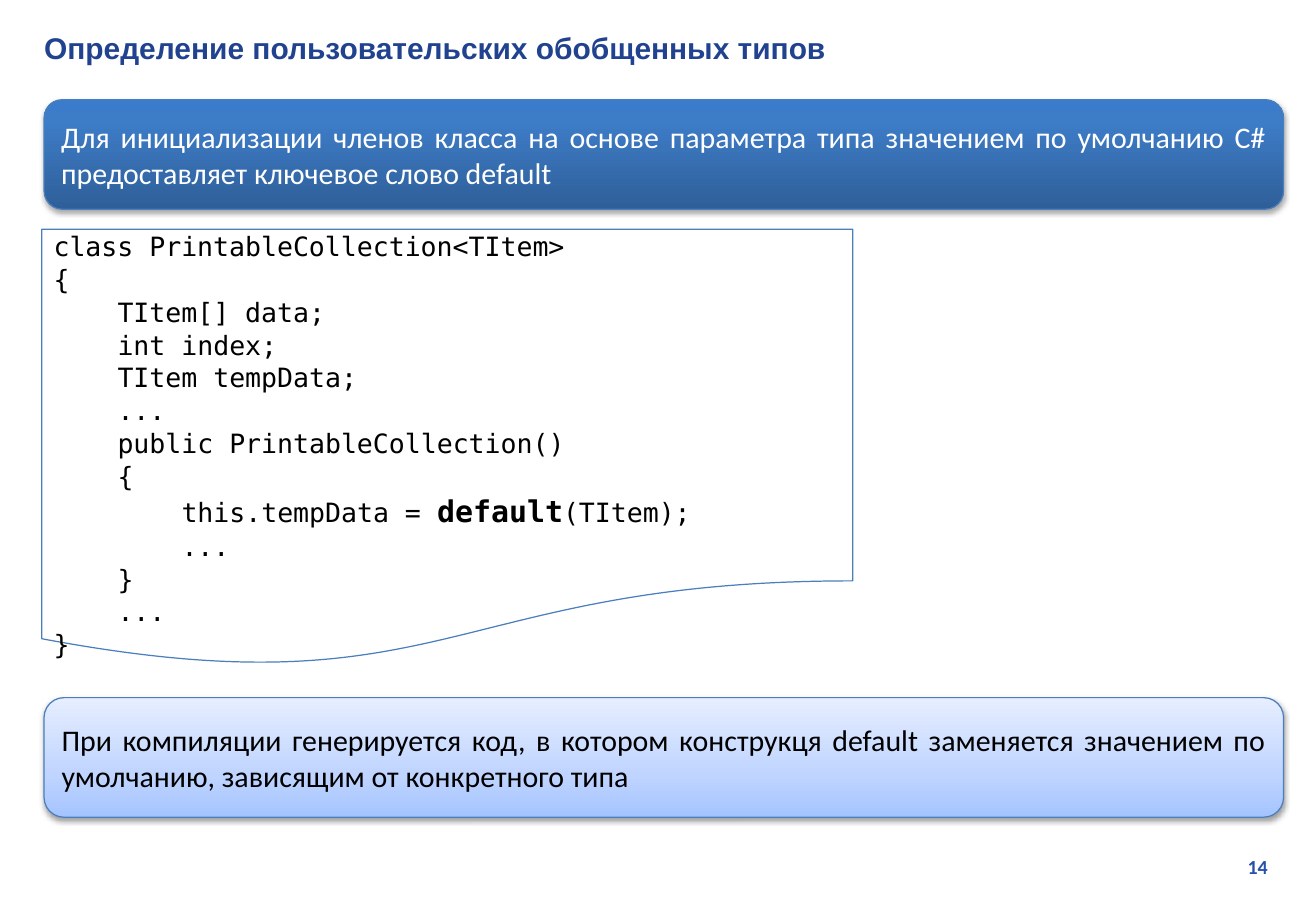
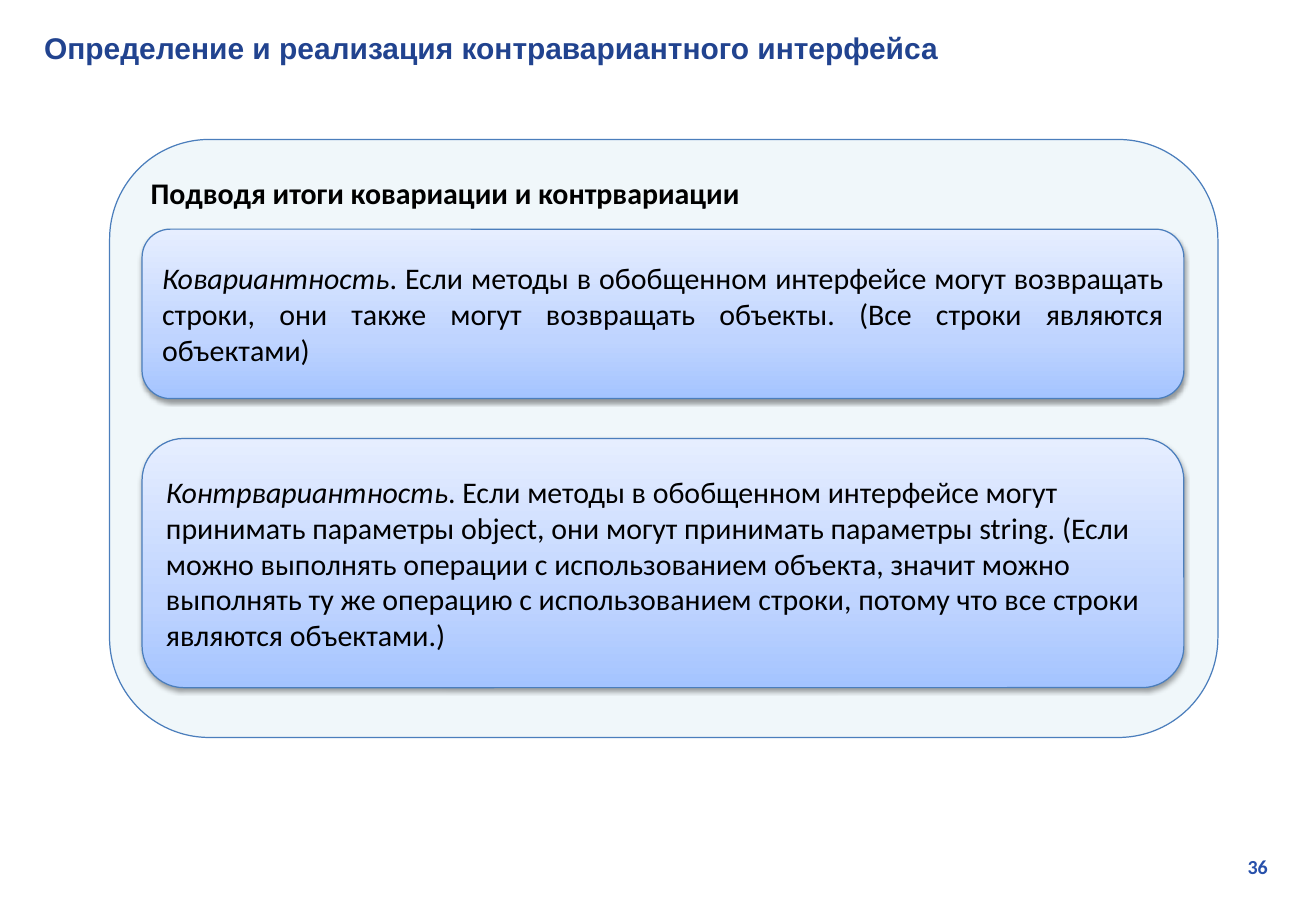
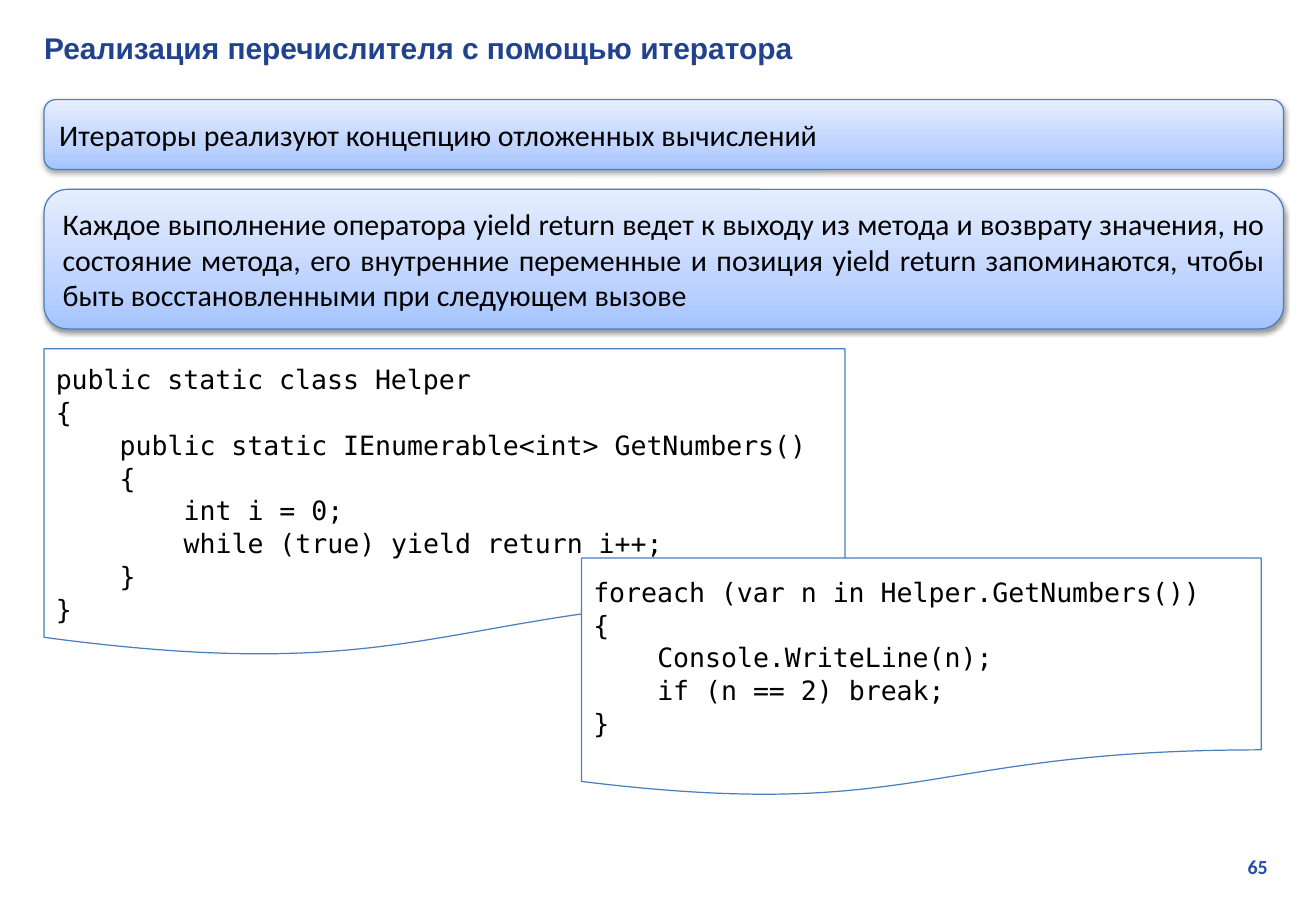
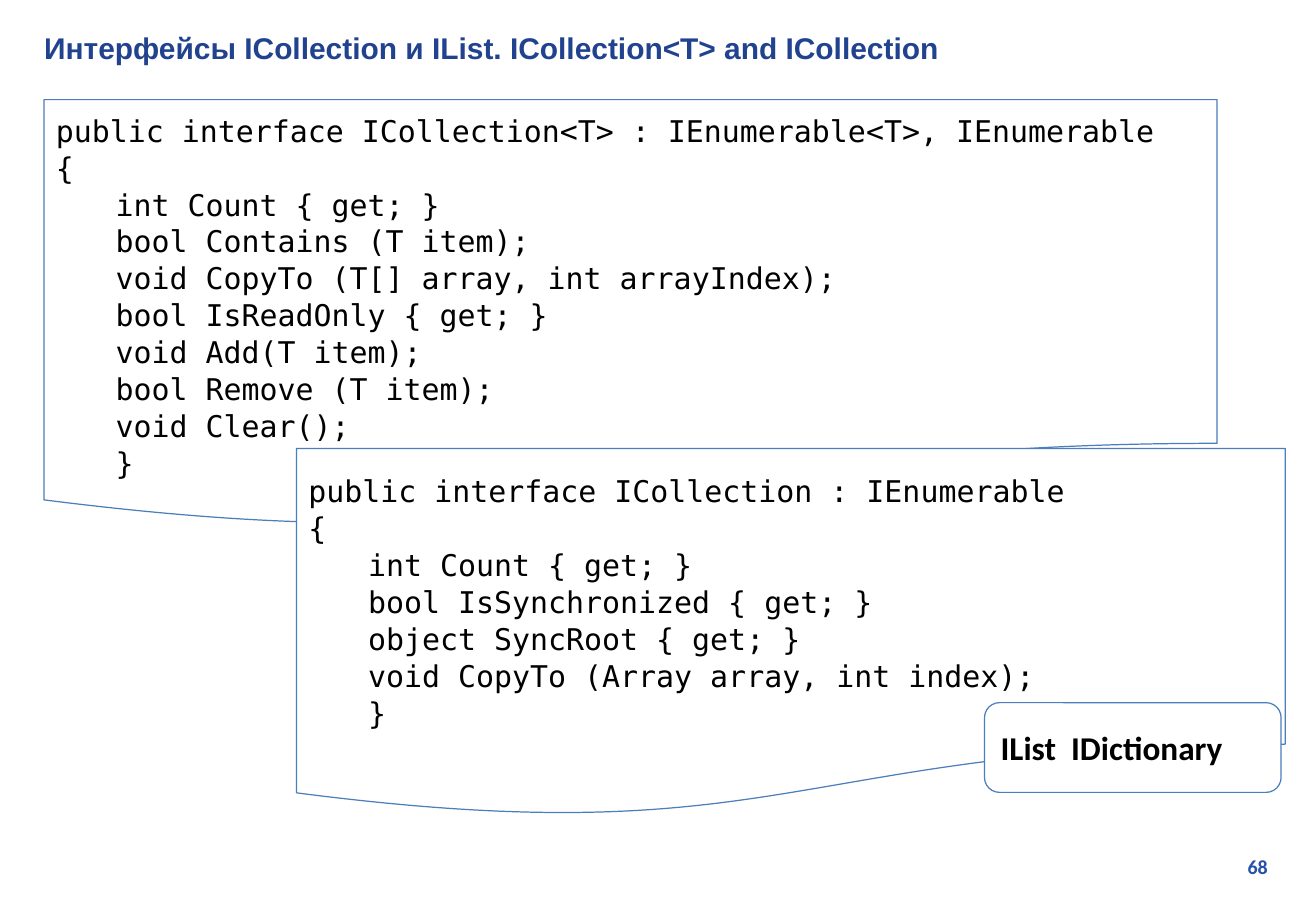
from copy import deepcopy
from lxml import etree
from pptx import Presentation
from pptx.dml.color import RGBColor
from pptx.enum.shapes import MSO_SHAPE
from pptx.enum.text import MSO_ANCHOR, PP_ALIGN
from pptx.oxml.ns import qn
from pptx.util import Pt

ROUND = MSO_SHAPE.ROUNDED_RECTANGLE
SHEET = MSO_SHAPE.FLOWCHART_DOCUMENT
BADGE = MSO_SHAPE.FLOWCHART_ALTERNATE_PROCESS
TOP, MIDDLE = MSO_ANCHOR.TOP, MSO_ANCHOR.MIDDLE
LEFT, RIGHT, FULL = PP_ALIGN.LEFT, PP_ALIGN.RIGHT, PP_ALIGN.JUSTIFY

HUE = {
    "title": "21438F", "page": "2750AB", "edge": "4B7EBC",
    "black": "000000", "white": "FFFFFF", "panel": "F0F7FA",
    "deep": "2F5F99", "blue": "3D7CC7", "bright": "3A7CCB",
    "sky": "A4C4FF", "pale": "BFD4FF", "mist": "E6EEFF",
}
DARK = [(0, "deep"), (0.8, "blue"), (1, "bright")]
LIGHT = [(0, "sky"), (0.35, "pale"), (1, "mist")]

BODY = {"name": "Calibri", "size": Pt(18), "bold": False}
HEAD = {"name": "Arial", "size": Pt(18), "bold": True}
PAGE = {"name": "Calibri", "size": Pt(12), "bold": True}
MONO = {"name": "DejaVu Sans Mono", "size": Pt(16), "bold": False}
BIG = {**MONO, "size": Pt(18)}
STRONG = {"size": Pt(18), "bold": True}
SLANT = {"italic": True}

KIND = {
    "lead": {"form": ROUND, "fill": DARK, "shade": (35, 1.8),
             "ink": "white", "align": FULL},
    "card": {"form": ROUND, "fill": LIGHT, "shade": (38, 1.6), "align": FULL},
    "note": {"form": ROUND, "fill": LIGHT, "shade": (38, 1.6)},
    "panel": {"form": ROUND, "fill": "panel", "anchor": TOP,
              "font": {**BODY, "bold": True}},
    "code": {"form": SHEET, "fill": "white", "anchor": TOP, "font": MONO,
             "mark": STRONG, "step": 38.5, "space": 1.03},
    "list": {"form": SHEET, "fill": "white", "anchor": TOP, "font": BIG,
             "step": 36, "space": 1.03},
    "badge": {"form": BADGE, "fill": "white",
              "font": {**BODY, "size": Pt(20), "bold": True}},
}
EDGE, WIDE = 26.5, 746

DECK = [
    (14, "Определение пользовательских обобщенных типов", [
        ("lead", (EDGE, 60, WIDE, 66), 3.6, "Для инициализации членов класса на основе параметра типа значением по умолчанию C# предоставляет ключевое слово default"),
        ("code", (25.2, 138, 488, 264), 0, """class PrintableCollection<TItem>
{
    TItem[] data;
    int index;
    TItem tempData;
    ...
    public PrintableCollection()
    {
        this.tempData = |default|(TItem);
        ...
    }
    ...
}"""),
        ("card", (EDGE, 420, WIDE, 72), 3.6, "При компиляции генерируется код, в котором конструкця default заменяется значением по умолчанию, зависящим от конкретного типа"),
    ]),
    (36, "Определение и реализация контравариантного интерфейса", [
        ("panel", (66, 84, 667, 360), 3.6, "Подводя итоги ковариации и контрвариации"),
        ("card", (85.5, 138, 627, 102), 3.6, "|Ковариантность|. Если методы в обобщенном интерфейсе могут возвращать строки, они также могут возвращать объекты. (Все строки являются объектами)"),
        ("note", (85.5, 264, 627, 150), 3.6, "|Контрвариантность|. Если методы в обобщенном интерфейсе могут принимать параметры object, они могут принимать параметры string. (Если можно выполнять операции с использованием объекта, значит можно выполнять ту же операцию с использованием строки, потому что все строки являются объектами.)"),
    ]),
    (65, "Реализация перечислителя с помощью итератора", [
        ("card", (EDGE, 60, WIDE, 42), 3.6, "Итераторы реализуют концепцию отложенных вычислений"),
        ("card", (EDGE, 114, WIDE, 84), 3.6, "Каждое выполнение оператора yield return ведет к выходу из метода и возврату значения, но состояние метода, его внутренние переменные и позиция yield return запоминаются, чтобы быть восстановленными при следующем вызове"),
        ("code", (EDGE, 210, 482, 186), 8, """public static class Helper
{
    public static IEnumerable<int> GetNumbers()
    {
        int i = 0;
        while (true) yield return i++;
    }
}"""),
        ("code", (350, 336, 409, 144), 10, """foreach (var n in Helper.GetNumbers())
{
    Console.WriteLine(n);
    if (n == 2) break;
}"""),
    ]),
    (68, "Интерфейсы ICollection и IList. ICollection<T> and ICollection", [
        ("list", (EDGE, 60, 706, 258), 7, """public interface ICollection<T> : IEnumerable<T>, IEnumerable
{
    int Count { get; }
    bool Contains (T item);
    void CopyTo (T[] array, int arrayIndex);
    bool IsReadOnly { get; }
    void Add(T item);
    bool Remove (T item);
    void Clear();
    }"""),
        ("list", (178.5, 270, 595, 222), 14, """public interface ICollection : IEnumerable
{
    int Count { get; }
    bool IsSynchronized { get; }
    object SyncRoot { get; }
    void CopyTo (Array array, int index);
    }"""),
        ("badge", (592.5, 423, 178.5, 54), 3.6, "IList  IDictionary"),
    ]),
]


def write(frame, text, font, ink, align=LEFT, mark=SLANT, step=0, space=1):
    frame.word_wrap = True
    for num, row in enumerate(text.splitlines()):
        para = frame.paragraphs[0] if num == 0 else frame.add_paragraph()
        para.alignment = align
        para.line_spacing = space
        line = row.lstrip()
        depth = (len(row) - len(line)) // 4
        if depth:
            props = para._p.get_or_add_pPr()
            props.set("marL", str(Pt(depth * step)))
            props.set("indent", "0")
        for pos, part in enumerate(line.split("|")):
            if part:
                run = para.add_run()
                run.text = part
                look = {**font, **mark} if pos % 2 else font
                for key, val in look.items():
                    setattr(run.font, key, val)
                run.font.color.rgb = RGBColor.from_string(HUE[ink])


def draw(slide, kind, box, inset, text):
    look = KIND[kind]
    shape = slide.shapes.add_shape(look["form"], *map(Pt, box))
    shape.shadow.inherit = False
    shape.line.color.rgb = RGBColor.from_string(HUE["edge"])
    shape.line.width = Pt(0.75)
    props = shape._element.spPr
    if isinstance(look["fill"], str):
        shape.fill.solid()
        shape.fill.fore_color.rgb = RGBColor.from_string(HUE[look["fill"]])
    else:
        shape.fill.gradient()
        shape.fill.gradient_angle = 90
        stops = props.find(".//" + qn("a:gsLst"))
        stops.append(deepcopy(stops[-1]))
        for stop, (pos, hue) in zip(shape.fill.gradient_stops, look["fill"]):
            stop.position = pos
            stop.color.rgb = RGBColor.from_string(HUE[hue])
    if "shade" in look:
        alpha, dist = look["shade"]
        cast = etree.SubElement(
            props.find(qn("a:effectLst")), qn("a:outerShdw"),
            blurRad=str(Pt(3.1)), dist=str(Pt(dist)), dir="5400000", rotWithShape="0")
        tint = etree.SubElement(cast, qn("a:srgbClr"), val=HUE["black"])
        etree.SubElement(tint, qn("a:alpha"), val=str(alpha * 1000))
    frame = shape.text_frame
    frame.vertical_anchor = look.get("anchor", MIDDLE)
    frame.margin_top = Pt(inset)
    rest = {key: look[key] for key in ("align", "mark", "step", "space") if key in look}
    write(frame, text, look.get("font", BODY), look.get("ink", "black"), **rest)


deck = Presentation()
deck.slide_width, deck.slide_height = Pt(792), Pt(540)
for page, title, items in DECK:
    slide = deck.slides.add_slide(deck.slide_layouts[6])
    for box, text, font, ink, align in (
        ((602, 511, 168, 21.6), str(page), PAGE, "page", RIGHT),
        ((19.5, 14.4, 756, 28.8), title, HEAD, "title", LEFT),
    ):
        label = slide.shapes.add_textbox(*map(Pt, box))
        label.text_frame.vertical_anchor = MIDDLE
        write(label.text_frame, text, font, ink, align)
    for item in items:
        draw(slide, *item)
deck.save("out.pptx")
